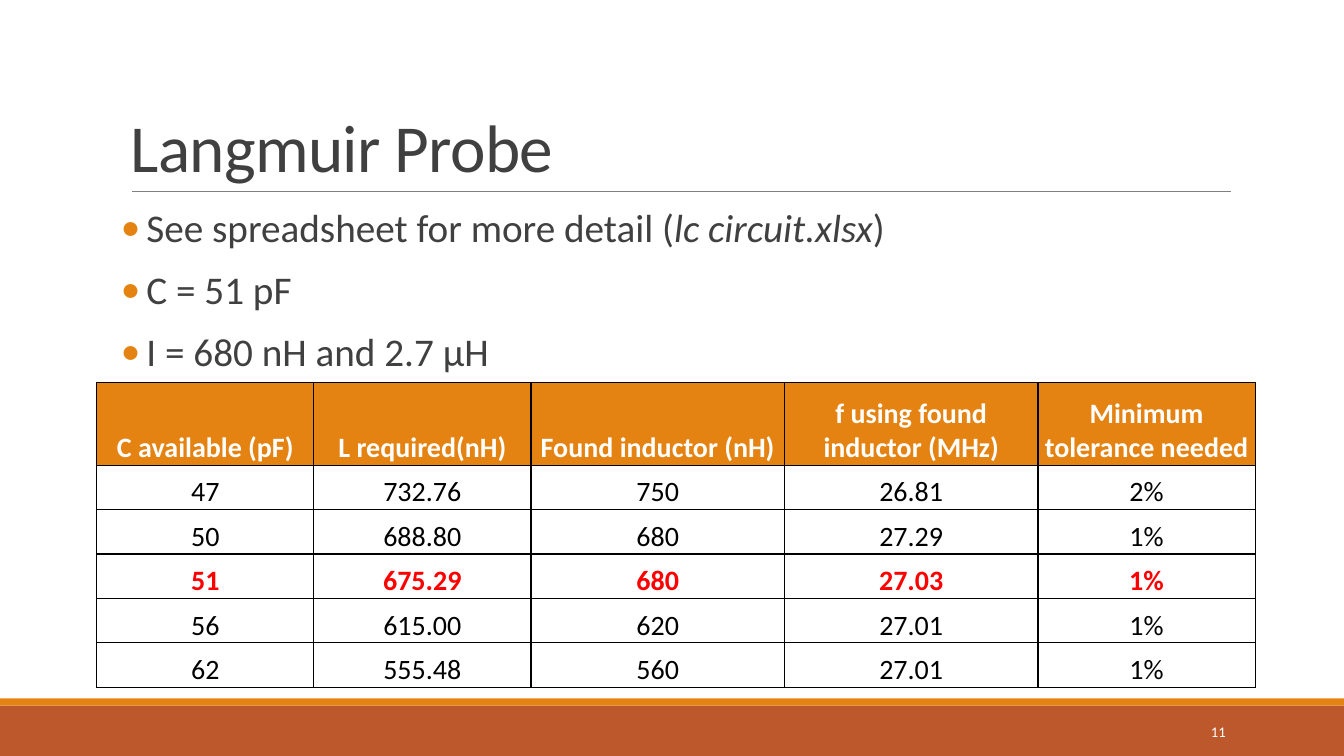
from pptx import Presentation
from pptx.dml.color import RGBColor
from pptx.enum.shapes import MSO_CONNECTOR, MSO_SHAPE
from pptx.enum.text import MSO_ANCHOR, PP_ALIGN
from pptx.oxml.ns import qn
from pptx.util import Cm, Pt
from lxml import etree

LINE, RECTANGLE = MSO_CONNECTOR.STRAIGHT, MSO_SHAPE.RECTANGLE
TOP, MIDDLE, BOTTOM = MSO_ANCHOR.TOP, MSO_ANCHOR.MIDDLE, MSO_ANCHOR.BOTTOM
CENTER, RIGHT = PP_ALIGN.CENTER, PP_ALIGN.RIGHT

FONT = "Calibri"
COLORS = {
    "footer": "BD582C",
    "accent": "E48312",
    "rule": "808080",
    "text": "404040",
    "white": "FFFFFF",
    "black": "000000",
    "chosen": "FF0000",
}
SLIDE_WIDTH, SLIDE_HEIGHT = 33.87, 19.05

BULLETS = [
    [("See spreadsheet for more detail (", False), ("lc circuit.xlsx", True), (")", False)],
    [("C = 51 pF", False)],
    [("I = 680 nH and 2.7 μH", False)],
]
INDUCTORS = [
    ["C available (pF)", "L required(nH)", "Found inductor (nH)",
     "f using found inductor (MHz)", "Minimum tolerance needed"],
    ["47", "732.76", "750", "26.81", "2%"],
    ["50", "688.80", "680", "27.29", "1%"],
    ["51", "675.29", "680", "27.03", "1%"],
    ["56", "615.00", "620", "27.01", "1%"],
    ["62", "555.48", "560", "27.01", "1%"],
]
CHOSEN_ROW = 3
COLUMN_WIDTHS = [5.47, 5.47, 6.39, 6.39, 5.47]
HEADER_HEIGHT, ROW_HEIGHT = 2.09, 1.12


def rgb(name):
    return RGBColor.from_string(COLORS[name])


def style_font(font, size, color, bold=False):
    font.name = FONT
    font.size = Pt(size)
    font.bold = bold
    font.color.rgb = rgb(color)


def add_band(slide, top, height, color):
    band = slide.shapes.add_shape(RECTANGLE, 0, Cm(top), Cm(SLIDE_WIDTH), Cm(height))
    band.shadow.inherit = False
    band.fill.solid()
    band.fill.fore_color.rgb = rgb(color)
    band.line.fill.background()


def add_rule(slide, left, right, y):
    rule = slide.shapes.add_connector(LINE, Cm(left), Cm(y), Cm(right), Cm(y))
    rule.line.color.rgb = rgb("rule")
    rule.line.width = Pt(0.5)
    etree.SubElement(rule._element.spPr, qn("a:effectLst"))


def add_text_frame(slide, left, top, width, height, anchor):
    frame = slide.shapes.add_textbox(Cm(left), Cm(top), Cm(width), Cm(height)).text_frame
    frame.word_wrap = True
    frame.vertical_anchor = anchor
    return frame


def add_title(slide, title):
    paragraph = add_text_frame(slide, 3.05, 0.79, 27.94, 4.04, BOTTOM).paragraphs[0]
    paragraph.text = title
    paragraph.line_spacing = 0.85
    run = paragraph.runs[0]
    style_font(run.font, 48, "text")
    run._r.get_or_add_rPr().set("spc", "-50")


def add_bullet_mark(paragraph):
    properties = paragraph._p.get_or_add_pPr()
    properties.set("marL", str(Cm(0.64)))
    properties.set("indent", str(-Cm(0.64)))
    mark_color = etree.SubElement(properties, qn("a:buClr"))
    etree.SubElement(mark_color, qn("a:srgbClr"), val=COLORS["accent"])
    etree.SubElement(properties, qn("a:buFont"), typeface=FONT)
    etree.SubElement(properties, qn("a:buChar"), char="•")


def add_bullets(slide, bullets):
    frame = add_text_frame(slide, 3.05, 5.13, 27.94, 11.18, TOP)
    frame.margin_left = frame.margin_right = 0
    for index, pieces in enumerate(bullets):
        paragraph = frame.add_paragraph() if index else frame.paragraphs[0]
        add_bullet_mark(paragraph)
        paragraph.line_spacing = 0.9
        paragraph.space_before = Pt(12 if index else 0)
        paragraph.space_after = Pt(2)
        for wording, italic in pieces:
            run = paragraph.add_run()
            run.text = wording
            style_font(run.font, 28, "text")
            run.font.italic = italic


def add_borders(cell):
    properties = cell._tc.get_or_add_tcPr()
    for side in ("lnL", "lnR", "lnT", "lnB"):
        border = etree.SubElement(properties, qn(f"a:{side}"), w=str(Pt(1)))
        fill = etree.SubElement(border, qn("a:solidFill"))
        etree.SubElement(fill, qn("a:srgbClr"), val=COLORS["black"])


def fill_cell(cell, value, color, bold, is_header):
    cell.margin_left = cell.margin_right = cell.margin_top = cell.margin_bottom = 0
    cell.vertical_anchor = BOTTOM
    add_borders(cell)
    if is_header:
        cell.fill.solid()
        cell.fill.fore_color.rgb = rgb("accent")
    else:
        cell.fill.background()
    paragraph = cell.text_frame.paragraphs[0]
    paragraph.text = value
    paragraph.alignment = CENTER
    style_font(paragraph.runs[0].font, 20, color, bold)


def add_inductor_table(slide, rows):
    heights = [HEADER_HEIGHT] + [ROW_HEIGHT] * (len(rows) - 1)
    table = slide.shapes.add_table(
        len(rows), len(COLUMN_WIDTHS), Cm(2.44), Cm(9.63),
        Cm(sum(COLUMN_WIDTHS)), Cm(sum(heights))).table
    for column, width in zip(table.columns, COLUMN_WIDTHS):
        column.width = Cm(width)
    row_colors = {0: "white", CHOSEN_ROW: "chosen"}
    for index, values in enumerate(rows):
        table.rows[index].height = Cm(heights[index])
        for cell, value in zip(table.rows[index].cells, values):
            fill_cell(cell, value, row_colors.get(index, "black"),
                      index in row_colors, index == 0)


def add_page_number(slide, number):
    paragraph = add_text_frame(slide, 27.51, 17.93, 3.63, 1.02, MIDDLE).paragraphs[0]
    paragraph.text = number
    paragraph.alignment = RIGHT
    style_font(paragraph.runs[0].font, 10.5, "white")


def main():
    presentation = Presentation()
    presentation.slide_width = Cm(SLIDE_WIDTH)
    presentation.slide_height = Cm(SLIDE_HEIGHT)
    slide = presentation.slides.add_slide(presentation.slide_layouts[6])
    add_band(slide, 17.78, 1.27, "footer")
    add_band(slide, 17.6, 0.18, "accent")
    add_rule(slide, 3.33, 31.01, 4.83)
    add_title(slide, "Langmuir Probe")
    add_bullets(slide, BULLETS)
    add_inductor_table(slide, INDUCTORS)
    add_page_number(slide, "11")
    presentation.save("out.pptx")


if __name__ == "__main__":
    main()
